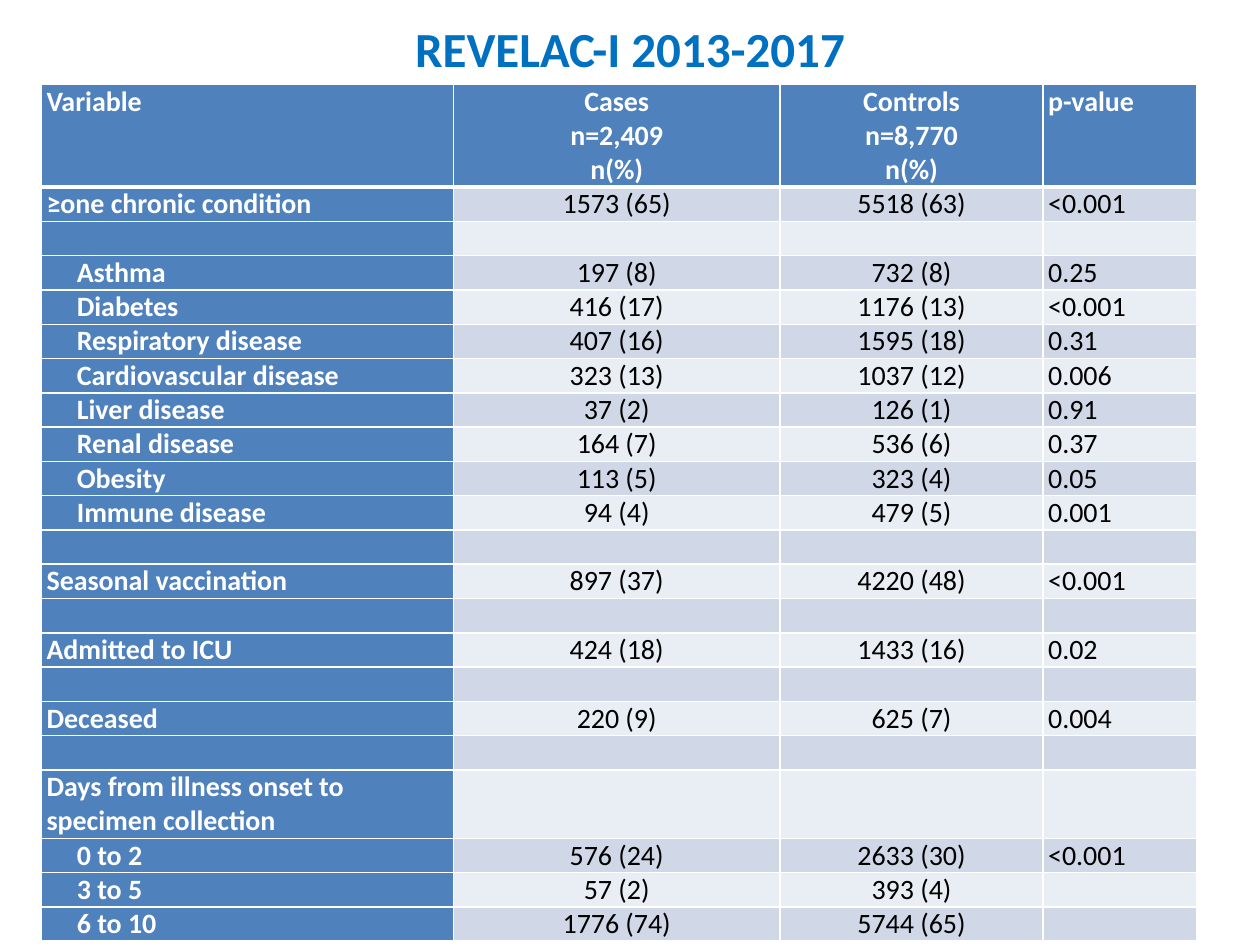
from lxml import etree
from pptx import Presentation
from pptx.dml.color import RGBColor
from pptx.enum.text import MSO_ANCHOR, PP_ALIGN
from pptx.oxml.ns import qn
from pptx.util import Inches, Pt

CENTER, LEFT = PP_ALIGN.CENTER, PP_ALIGN.LEFT
MIDDLE = MSO_ANCHOR.MIDDLE

WHITE = RGBColor(0xFF, 0xFF, 0xFF)
BLACK = RGBColor(0, 0, 0)
HEADER_BLUE = RGBColor(0x4F, 0x81, 0xBD)
TITLE_BLUE = RGBColor(0x00, 0x70, 0xC0)
BANDS = RGBColor(0xD0, 0xD8, 0xE8), RGBColor(0xE9, 0xED, 0xF4)

FONT = "Calibri"
CELL_SIZE = 16
COLUMN_WIDTHS = 3.27, 2.59, 2.09, 1.22
ROW_HEIGHT = 0.22
TALL_ROWS = {0: 0.66, 18: 0.4}
INDENTED_ROWS = {*range(3, 11), *range(19, 22)}
MARGINS = {"margin_left": 0.04, "margin_right": 0.04,
           "margin_top": 0, "margin_bottom": 0}
BLANK_ROW = ("", "", "", "")

ROWS = [
    ("Variable", "Cases\nn=2,409\nn(%)", "Controls\nn=8,770\nn(%)", "p-value"),
    ("≥one chronic condition", "1573 (65)", "5518 (63)", "<0.001"),
    BLANK_ROW,
    ("Asthma", "197 (8)", "732 (8)", "0.25"),
    ("Diabetes", "416 (17)", "1176 (13)", "<0.001"),
    ("Respiratory disease", "407 (16)", "1595 (18)", "0.31"),
    ("Cardiovascular disease", "323 (13)", "1037 (12)", "0.006"),
    ("Liver disease", "37 (2)", "126 (1)", "0.91"),
    ("Renal disease", "164 (7)", "536 (6)", "0.37"),
    ("Obesity", "113 (5)", "323 (4)", "0.05"),
    ("Immune disease", "94 (4)", "479 (5)", "0.001"),
    BLANK_ROW,
    ("Seasonal vaccination", "897 (37)", "4220 (48)", "<0.001"),
    BLANK_ROW,
    ("Admitted to ICU", "424 (18)", "1433 (16)", "0.02"),
    BLANK_ROW,
    ("Deceased", "220 (9)", "625 (7)", "0.004"),
    BLANK_ROW,
    ("Days from illness onset to specimen collection", "", "", ""),
    ("0 to 2", "576 (24)", "2633 (30)", "<0.001"),
    ("3 to 5", "57 (2)", "393 (4)", ""),
    ("6 to 10", "1776 (74)", "5744 (65)", ""),
]


def write(p, text, size, color, bold, align):
    p.alignment = align
    if not text:
        # An empty cell still takes its line height from the end mark.
        etree.SubElement(p._p, qn("a:endParaRPr"), sz=str(size * 100))
        return
    r = p.add_run()
    r.text = text
    for name, value in {"name": FONT, "size": Pt(size), "bold": bold}.items():
        setattr(r.font, name, value)
    r.font.color.rgb = color


def set_borders(cell, row):
    """White rules, with a thicker one between header and body."""
    widths = {"L": 1, "R": 1, "T": 3 if row == 1 else 1, "B": 3 if row == 0 else 1}
    tcPr = cell._tc.get_or_add_tcPr()
    for side, width in widths.items():
        ln = etree.SubElement(tcPr, qn(f"a:ln{side}"), w=str(Pt(width)))
        fill = etree.SubElement(ln, qn("a:solidFill"))
        etree.SubElement(fill, qn("a:srgbClr"), val=str(WHITE))


def fill_cell(cell, text, row, col):
    heading = row == 0 or col == 0
    for name, value in MARGINS.items():
        setattr(cell, name, Inches(value))
    set_borders(cell, row)
    cell.fill.solid()
    cell.fill.fore_color.rgb = HEADER_BLUE if heading else BANDS[(row - 1) % 2]
    tf = cell.text_frame
    for i, line in enumerate(text.split("\n")):
        p = tf.add_paragraph() if i else tf.paragraphs[0]
        write(p, line, CELL_SIZE, WHITE if heading else BLACK, heading,
              CENTER if col in (1, 2) else LEFT)
        if col == 0 and row in INDENTED_ROWS:
            p._p.get_or_add_pPr().set("marL", str(Inches(0.24)))


def add_results_table(s):
    frame = s.shapes.add_table(len(ROWS), len(COLUMN_WIDTHS), Inches(0.33),
                               Inches(0.67), Inches(9.17), Inches(6.67))
    table = frame.table
    table.first_col = True
    for column, width in zip(table.columns, COLUMN_WIDTHS):
        column.width = Inches(width)
    for i, values in enumerate(ROWS):
        table.rows[i].height = Inches(TALL_ROWS.get(i, ROW_HEIGHT))
        for j, text in enumerate(values):
            fill_cell(table.cell(i, j), text, i, j)
    frame.height = Inches(6.67)


def add_title(s, text):
    sp = s.shapes.add_textbox(Inches(0.5), Inches(-0.08), Inches(9), Inches(0.92))
    tf = sp.text_frame
    tf.word_wrap = True
    tf.vertical_anchor = MIDDLE
    write(tf.paragraphs[0], text, 28, TITLE_BLUE, True, CENTER)


def main():
    prs = Presentation()
    prs.slide_width, prs.slide_height = Inches(10), Inches(7.5)
    s = prs.slides.add_slide(prs.slide_layouts[6])
    add_results_table(s)
    add_title(s, "REVELAC-I 2013-2017")
    prs.save("out.pptx")


if __name__ == "__main__":
    main()
